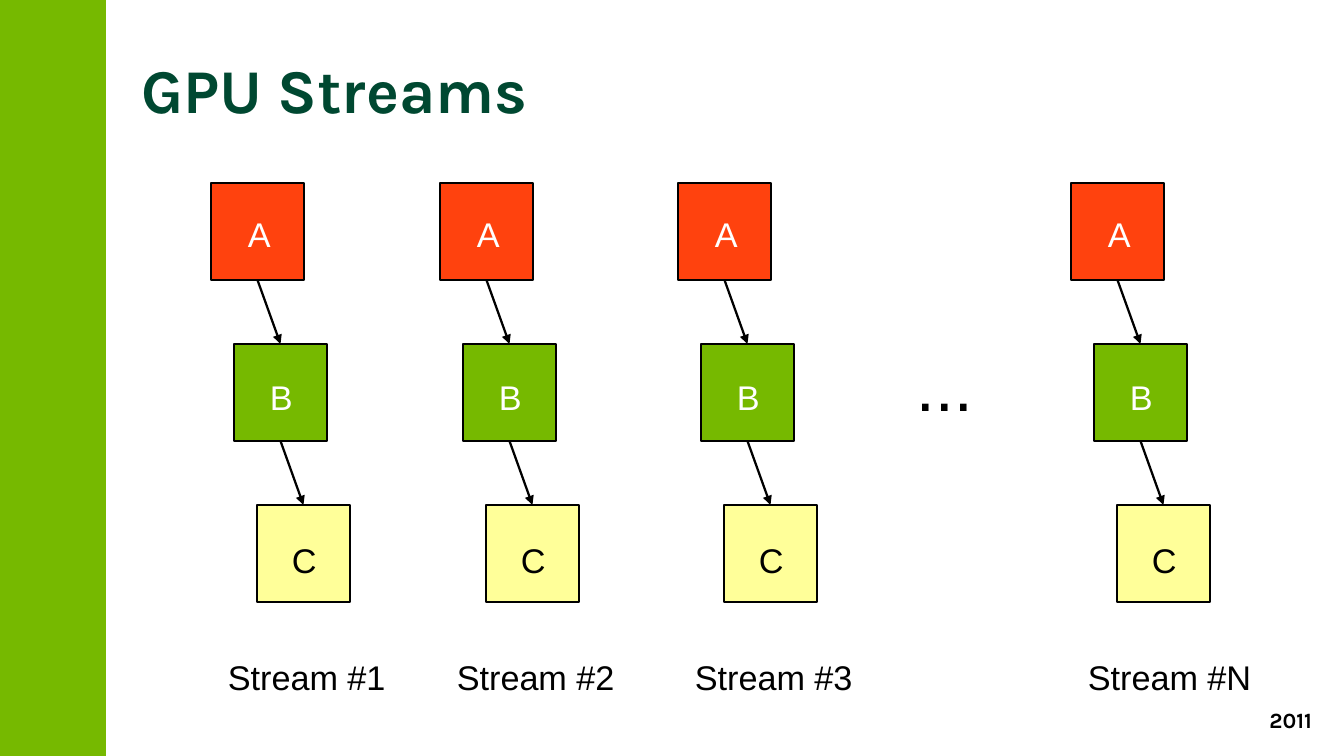
from itertools import pairwise

from lxml import etree
from pptx import Presentation
from pptx import util as u
from pptx.dml.color import RGBColor
from pptx.enum import shapes, text
from pptx.oxml import ns

PX = u.Inches(1) // 112

GREEN = RGBColor(0x76, 0xB9, 0x00)
DARK_GREEN = RGBColor(0x00, 0x48, 0x31)
RED = RGBColor(0xFF, 0x42, 0x0E)
YELLOW = RGBColor(0xFF, 0xFF, 0x99)
WHITE = RGBColor(0xFF, 0xFF, 0xFF)
BLACK = RGBColor(0x00, 0x00, 0x00)

# stream name, left of its first box, width of its caption
STREAMS = [
    ("Stream #1", 211, 180),
    ("Stream #2", 440, 180),
    ("Stream #3", 678, 180),
    ("Stream #N", 1071, 186),
]
# letter, fill, letter colour, letter width
STAGES = [
    ("A", RED, WHITE, 45),
    ("B", GREEN, WHITE, 45),
    ("C", YELLOW, BLACK, 47),
]

BOX_W, BOX_H = 93, 97
FIRST_TOP = 183
STEP_X, STEP_Y = 23, 161
LETTER_X, LETTER_Y = 26, 24
LETTER_STEP_X, LETTER_STEP_Y = 22, 163
TEXT_H = 49
CAPTION_X, CAPTION_TOP = 6, 650


def px(*lengths):
    return [length * PX for length in lengths]


def add_text(page, words, left, top, width, height, *, size=22, font="Arial",
             color=BLACK, bold=False, wrap=False, inset=(11, 6),
             align=text.PP_ALIGN.LEFT, anchor=text.MSO_ANCHOR.TOP, spacing=None):
    frame = page.shapes.add_textbox(*px(left, top, width, height)).text_frame
    frame.word_wrap = wrap
    frame.vertical_anchor = anchor
    frame.margin_left = frame.margin_right = inset[0] * PX
    frame.margin_top = frame.margin_bottom = inset[1] * PX
    para = frame.paragraphs[0]
    para.alignment = align
    para.line_spacing = spacing
    span = para.add_run()
    span.text = words
    span.font.size = u.Pt(size)
    span.font.name = font
    span.font.bold = bold
    span.font.color.rgb = color


def add_box(page, left, top, width, height, fill, outlined=True):
    box = page.shapes.add_shape(shapes.MSO_SHAPE.RECTANGLE,
                                *px(left, top, width, height))
    box.shadow.inherit = False
    box.fill.solid()
    box.fill.fore_color.rgb = fill
    if outlined:
        box.line.color.rgb = BLACK
        box.line.width = u.Pt(1.45)
    else:
        box.line.fill.background()
    return box


def add_arrow(page, upper, lower):
    """Join the bottom of the upper box to the top of the lower one."""
    arrow = page.shapes.add_connector(shapes.MSO_CONNECTOR.STRAIGHT, 0, 0, 0, 0)
    arrow.begin_connect(upper, 2)
    arrow.end_connect(lower, 0)
    arrow.line.color.rgb = BLACK
    arrow.line.width = u.Pt(1.45)
    etree.SubElement(arrow.line._get_or_add_ln(), ns.qn("a:tailEnd"), type="triangle")
    etree.SubElement(arrow._element.spPr, ns.qn("a:effectLst"))


def add_stream(page, name, left, caption_width):
    boxes = [
        add_box(page, left + i * STEP_X, FIRST_TOP + i * STEP_Y, BOX_W, BOX_H, fill)
        for i, (_, fill, _, _) in enumerate(STAGES)
    ]
    for upper, lower in pairwise(boxes):
        add_arrow(page, upper, lower)
    for i, (letter, _, color, width) in enumerate(STAGES):
        add_text(page, letter, left + LETTER_X + i * LETTER_STEP_X,
                 FIRST_TOP + LETTER_Y + i * LETTER_STEP_Y, width, TEXT_H, color=color)
    add_text(page, name, left + CAPTION_X, CAPTION_TOP, caption_width, TEXT_H)


def main():
    deck = Presentation()
    deck.slide_width, deck.slide_height = px(1344, 756)
    page = deck.slides.add_slide(deck.slide_layouts[6])

    add_box(page, 0, 0, 106, 756, GREEN, outlined=False)
    add_text(page, "2011", 941, 701, 382, 37, size=14, font="Karla", bold=True,
             wrap=True, align=text.PP_ALIGN.RIGHT)
    add_text(page, "GPU Streams", 141, 30, 1152, 127, size=40, font="Karla",
             color=DARK_GREEN, bold=True, wrap=True, inset=(0, 0),
             anchor=text.MSO_ANCHOR.MIDDLE, spacing=0.9)
    for stream in STREAMS:
        add_stream(page, *stream)
    add_text(page, "...", 905, 337, 80, 87, size=44)

    deck.save("out.pptx")


if __name__ == "__main__":
    main()
